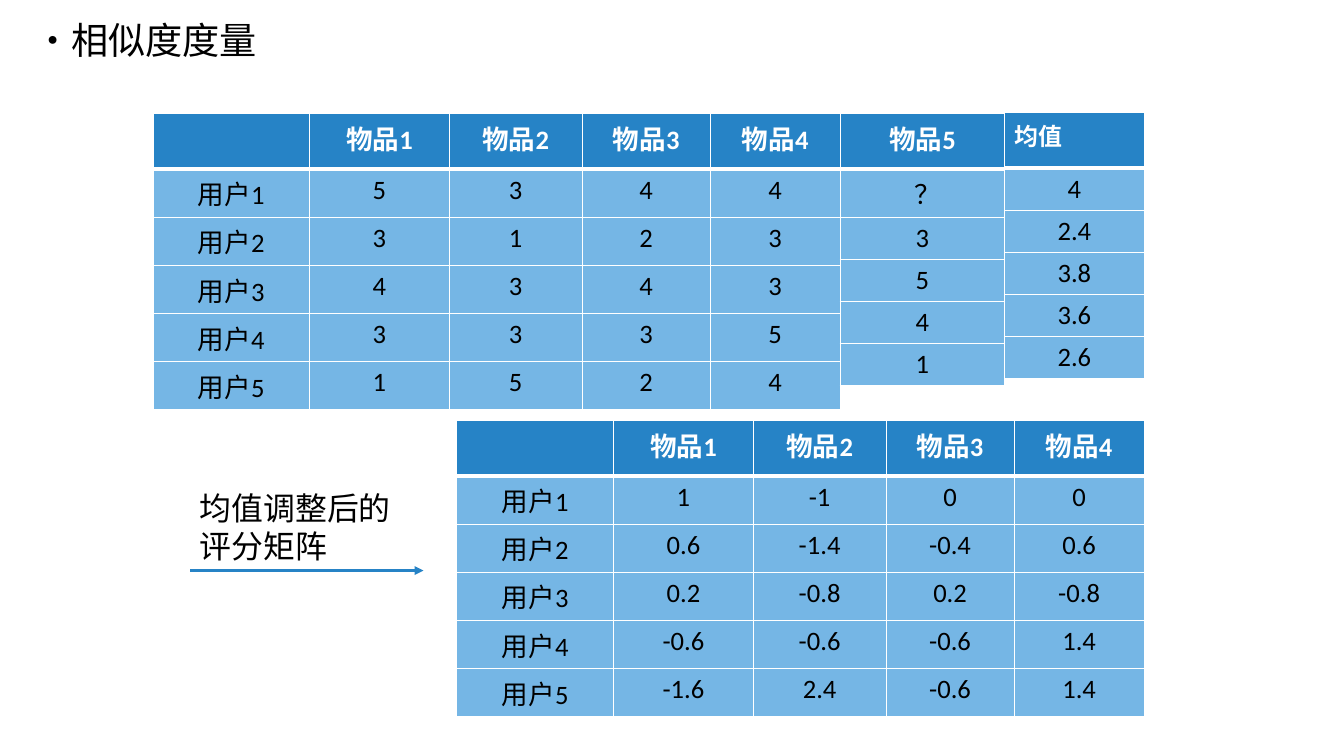
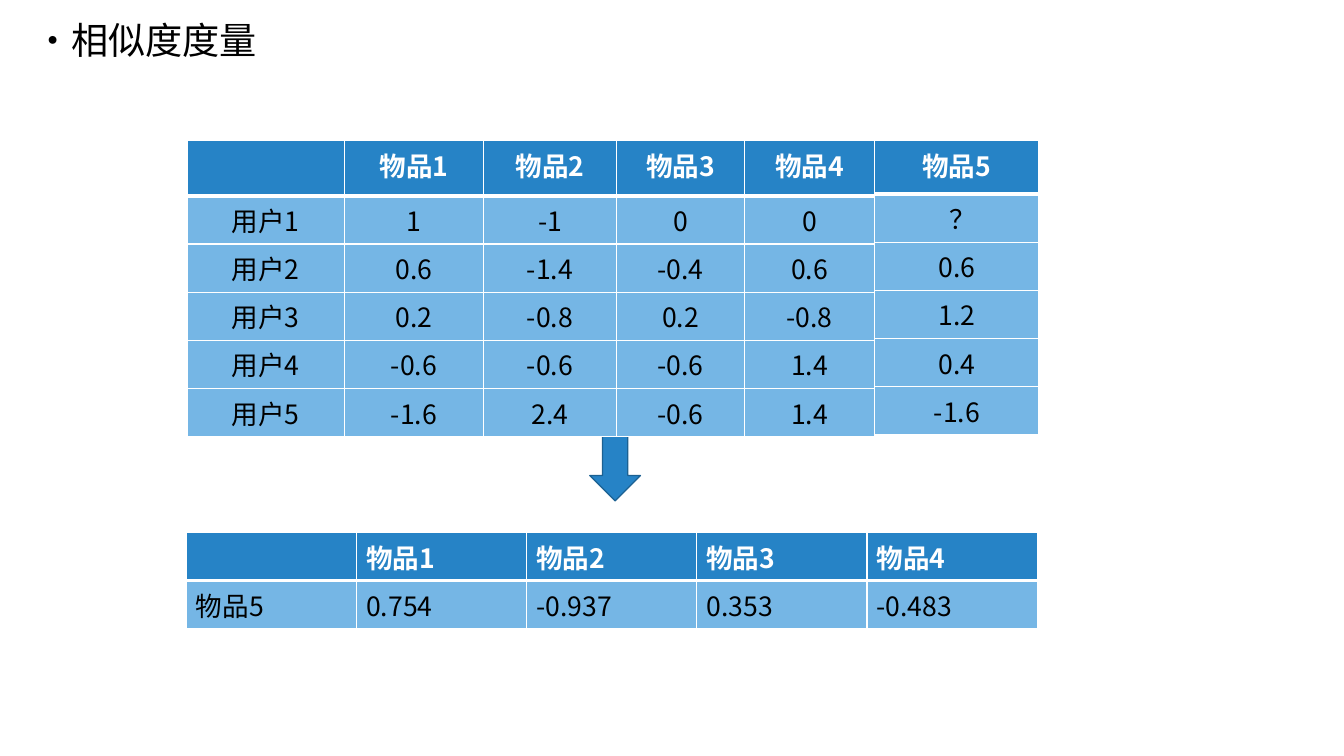
from lxml.etree import SubElement as Sub
from pptx import Presentation
from pptx.dml.color import RGBColor
from pptx.enum.shapes import MSO_CONNECTOR as Link, MSO_SHAPE as Kind
from pptx.enum.text import MSO_ANCHOR as Anchor, MSO_AUTO_SIZE as Fit, PP_ALIGN as Align
from pptx.oxml.ns import qn
from pptx.util import Inches, Pt

DARK, LIGHT, EDGE = "2683C6", "75B6E5", "1C6192"
WHITE, BLACK = "FFFFFF", "000000"
SANS, LATIN = "Noto Sans CJK SC", "Calibri"

ITEMS = [f"物品{n}" for n in range(1, 6)]
USERS = [f"用户{n}" for n in range(1, 6)]
HEAD = ["", *ITEMS[:4]]
RATES = ["5 3 4 4", "3 1 2 3", "4 3 4 3", "3 3 3 5", "1 5 2 4"]
SHIFTS = ["1 -1 0 0", "0.6 -1.4 -0.4 0.6", "0.2 -0.8 0.2 -0.8",
          "-0.6 -0.6 -0.6 1.4", "-1.6 2.4 -0.6 1.4"]
WIDTHS = [1.64, 1.46, 1.39, 1.34, 1.36]
HEIGHTS = [0.58] + [0.41] * 5


def tint(code):
    return RGBColor.from_string(code)


def grid(lines):
    return [HEAD] + [[user, *line.split()] for user, line in zip(USERS, lines)]


def stack(*words):
    return [[word] for word in words]


class Deck:
    def __init__(self):
        self.file = Presentation()
        self.file.slide_width = Inches(14.06)
        self.file.slide_height = Inches(7.91)

    def page(self, title):
        self.slide = self.file.slides.add_slide(self.file.slide_layouts[6])
        frame = self.text(title, 0.26, 0.23, 3.47, 0.42, 28)
        frame.margin_top = frame.margin_bottom = 0
        frame.paragraphs[0].line_spacing = 0.9

    def style(self, part, size, color=BLACK, bold=False, face=SANS):
        for run in part.runs:
            run.font.size = Pt(size)
            run.font.bold = bold
            run.font.name = face
            run.font.color.rgb = tint(color)
            Sub(run.font._element, qn("a:ea")).set("typeface", SANS)

    def text(self, words, x, y, w, h, size):
        box = self.slide.shapes.add_textbox(Inches(x), Inches(y), Inches(w), Inches(h))
        frame = box.text_frame
        frame.word_wrap = True
        frame.auto_size = Fit.NONE
        frame.vertical_anchor = Anchor.TOP
        frame.text = words
        self.style(frame.paragraphs[0], size)
        return frame

    def edges(self, cell, base):
        props = cell._tc.get_or_add_tcPr()
        for side, width in zip("LRTB", (1, 1, 1, base)):
            line = Sub(props, qn(f"a:ln{side}"), w=str(Pt(width)))
            fill = Sub(line, qn("a:solidFill"))
            Sub(fill, qn("a:srgbClr"), val=WHITE)

    def table(self, rows, x, y, widths, heights, face=SANS, align=Align.CENTER, top=20):
        shape = self.slide.shapes.add_table(
            len(rows), len(widths), Inches(x), Inches(y),
            Inches(sum(widths)), Inches(sum(heights)))
        table = shape.table
        table.horz_banding = False
        for col, width in zip(table.columns, widths):
            col.width = Inches(width)
        for r, (row, height) in enumerate(zip(rows, heights)):
            table.rows[r].height = Inches(height)
            first = r == 0
            for c, word in enumerate(row):
                cell = table.cell(r, c)
                self.edges(cell, 3 if first else 1)
                cell.fill.solid()
                cell.fill.fore_color.rgb = tint(DARK if first else LIGHT)
                cell.text_frame.text = word
                part = cell.text_frame.paragraphs[0]
                part.alignment = Align.LEFT if first and top < 20 else align
                if word == "？":
                    cell.margin_left = Inches(0.22)
                self.style(part, top if first else 20,
                           WHITE if first else BLACK, first, face)

    def arrow(self, x, y, end):
        link = self.slide.shapes.add_connector(
            Link.STRAIGHT, Inches(x), Inches(y), Inches(end), Inches(y))
        link.line.color.rgb = tint(DARK)
        link.line.width = Pt(2.25)
        Sub(link.line._get_or_add_ln(), qn("a:tailEnd"), type="triangle")
        Sub(link._element.spPr, qn("a:effectLst"))

    def block(self, kind, x, y, w, h):
        shape = self.slide.shapes.add_shape(kind, Inches(x), Inches(y), Inches(w), Inches(h))
        shape.shadow.inherit = False
        shape.fill.solid()
        shape.fill.fore_color.rgb = tint(DARK)
        shape.line.color.rgb = tint(EDGE)
        shape.line.width = Pt(1)


def main():
    deck = Deck()

    deck.page("·相似度度量")
    deck.table(grid(RATES), 1.6, 1.19, WIDTHS, HEIGHTS, LATIN)
    deck.table(stack(ITEMS[4], "？", "3", "5", "4", "1"), 8.79, 1.19, [1.72],
               [0.58, 0.44, 0.44, 0.42, 0.42, 0.44], LATIN)
    deck.table(grid(SHIFTS), 4.78, 4.4, WIDTHS, HEIGHTS, LATIN)
    deck.table(stack("均值", "4", "2.4", "3.8", "3.6", "2.6"), 10.51, 1.18, [1.46],
               [0.58, 0.44, 0.44, 0.44, 0.42, 0.44], LATIN, top=18)
    note = deck.text("均值调整后的评分矩阵", 1.99, 5.06, 2.2, 0.91, 24)
    note.auto_size = Fit.SHAPE_TO_FIT_TEXT
    deck.arrow(1.99, 5.97, 4.43)

    deck.page("·相似度度量")
    deck.table([HEAD, [ITEMS[4], "0.754", "-0.937", "0.353", "-0.483"]],
               1.95, 5.57, [1.78] * 5, [0.36, 0.41], align=Align.LEFT)
    deck.block(Kind.DOWN_ARROW, 6.17, 4.55, 0.53, 0.69)
    deck.table(grid(SHIFTS), 1.96, 1.47, WIDTHS, HEIGHTS)
    deck.table(stack(ITEMS[4], "？", "0.6", "1.2", "0.4", "-1.6"), 9.15, 1.47, [1.72],
               [0.56, 0.45, 0.45, 0.4, 0.38, 0.45])

    deck.file.save("out.pptx")


if __name__ == "__main__":
    main()
